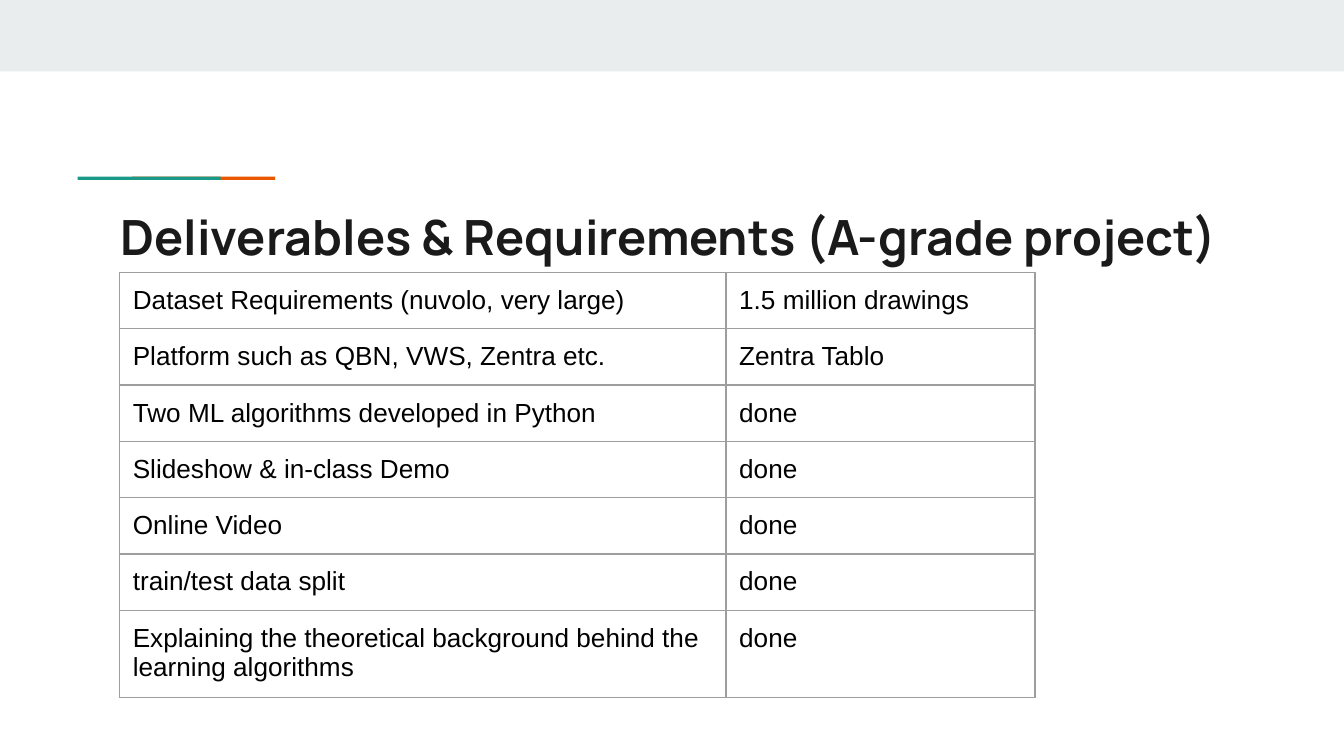
from lxml.etree import SubElement as Sub
from pptx import Presentation
from pptx.dml.color import RGBColor as RGB
from pptx.enum.shapes import MSO_SHAPE as Kind
from pptx.oxml.ns import qn
from pptx.util import Cm, Pt

BAND = RGB(0xE9, 0xED, 0xEE)
ORANGE = RGB(0xEB, 0x56, 0x00)
TEAL = RGB(0x1A, 0x99, 0x88)
INK = RGB(0x1A, 0x1A, 0x1A)
BLACK = RGB(0, 0, 0)
GREY = RGB(0x9E, 0x9E, 0x9E)
PAD = Cm(0.25)
ROWS = [
    ("Dataset Requirements (nuvolo, very large)", "1.5 million drawings"),
    ("Platform such as QBN, VWS, Zentra etc.", "Zentra Tablo"),
    ("Two ML algorithms developed in Python", "done"),
    ("Slideshow & in-class Demo", "done"),
    ("Online Video", "done"),
    ("train/test data split", "done"),
    ("Explaining the theoretical background behind the learning algorithms", "done"),
]


def add_bar(slide, left, top, width, height, color):
    """Add a plain filled rectangle."""
    bar = slide.shapes.add_shape(Kind.RECTANGLE, Cm(left), Cm(top), Cm(width), Cm(height))
    bar.shadow.inherit = False
    bar.fill.solid()
    bar.fill.fore_color.rgb = color
    bar.line.fill.background()


def set_text(frame, text, font, size, color, bold=False):
    """Write text into a frame and format its run."""
    frame.text = text
    frame.word_wrap = True
    style = frame.paragraphs[0].runs[0].font
    style.name, style.size, style.bold = font, Pt(size), bold
    style.color.rgb = color


def add_title(slide, text):
    """Add the slide heading."""
    box = slide.shapes.add_textbox(Cm(2.03), Cm(3.66), Cm(21.36), Cm(1.5))
    frame = box.text_frame
    frame.margin_left = frame.margin_right = PAD
    frame.margin_top = frame.margin_bottom = PAD
    set_text(frame, text, "Manrope", 26, INK, True)


def set_edge(cell):
    """Draw a thin grey line on each side of a cell."""
    props = cell._tc.get_or_add_tcPr()
    for i, side in enumerate("LRTB"):
        line = Sub(props, qn(f"a:ln{side}"), w=str(Pt(0.75)))
        fill = Sub(line, qn("a:solidFill"))
        Sub(fill, qn("a:srgbClr"), val=str(GREY))
        props.insert(i, line)


def add_grid(slide, rows):
    """Add the table of requirements and their status."""
    wide, high = (11.46, 5.84), 1.02
    frame = slide.shapes.add_table(
        len(rows), len(wide), Cm(2.26), Cm(5.15), Cm(sum(wide)), Cm(high * len(rows)))
    table = frame.table
    table.first_row = table.horz_banding = False
    for col, width in zip(table.columns, wide):
        col.width = Cm(width)
    for row, texts in zip(table.rows, rows):
        row.height = Cm(high)
        for cell, text in zip(row.cells, texts):
            cell.margin_left = cell.margin_right = PAD
            cell.margin_top, cell.margin_bottom = PAD, Cm(0.22)
            cell.fill.background()
            set_text(cell.text_frame, text, "Arial", 14, BLACK)
            set_edge(cell)


def main():
    """Build the slide and save it."""
    deck = Presentation()
    deck.slide_width, deck.slide_height = Cm(25.4), Cm(14.29)
    slide = deck.slides.add_slide(deck.slide_layouts[6])
    add_bar(slide, 0, 0, 25.4, 1.35, BAND)
    add_bar(slide, 2.5, 3.34, 2.7, 0.06, ORANGE)
    add_bar(slide, 1.47, 3.34, 2.7, 0.06, TEAL)
    add_title(slide, "Deliverables & Requirements (A-grade project)")
    add_grid(slide, ROWS)
    deck.save("out.pptx")


if __name__ == "__main__":
    main()
